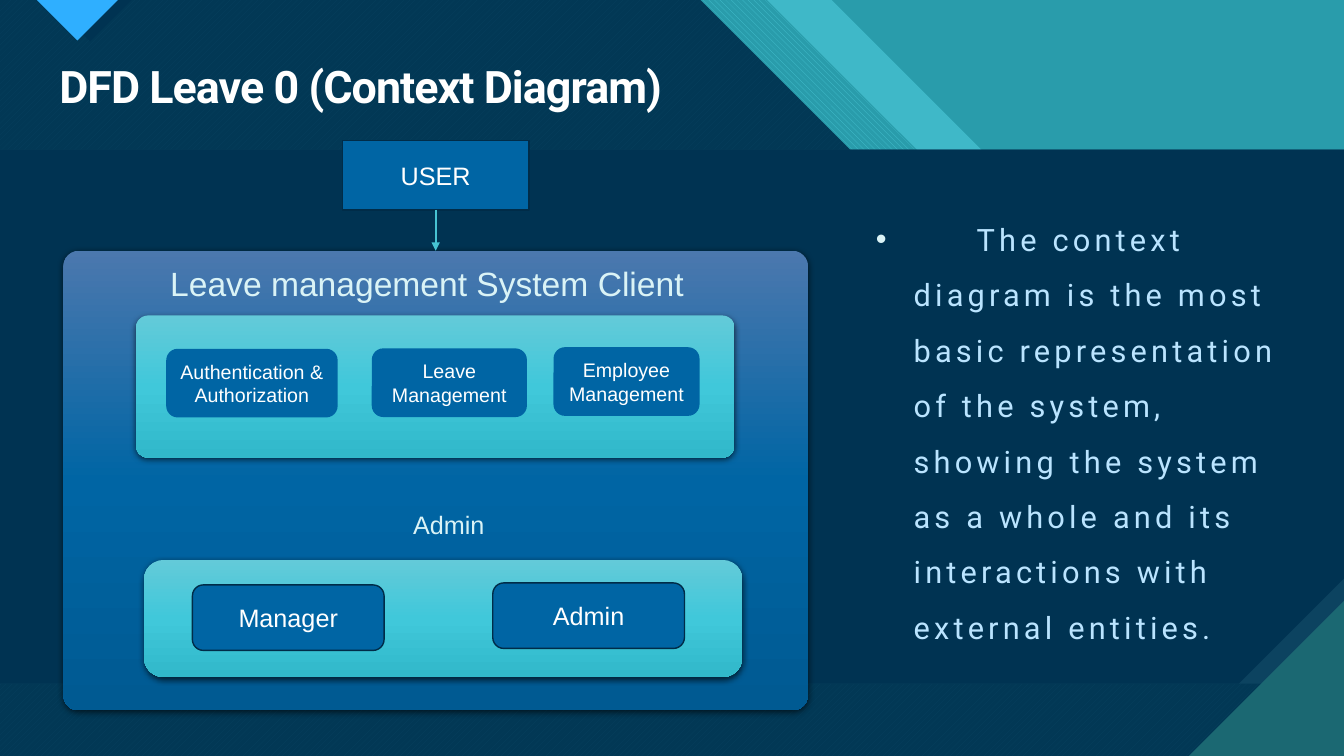
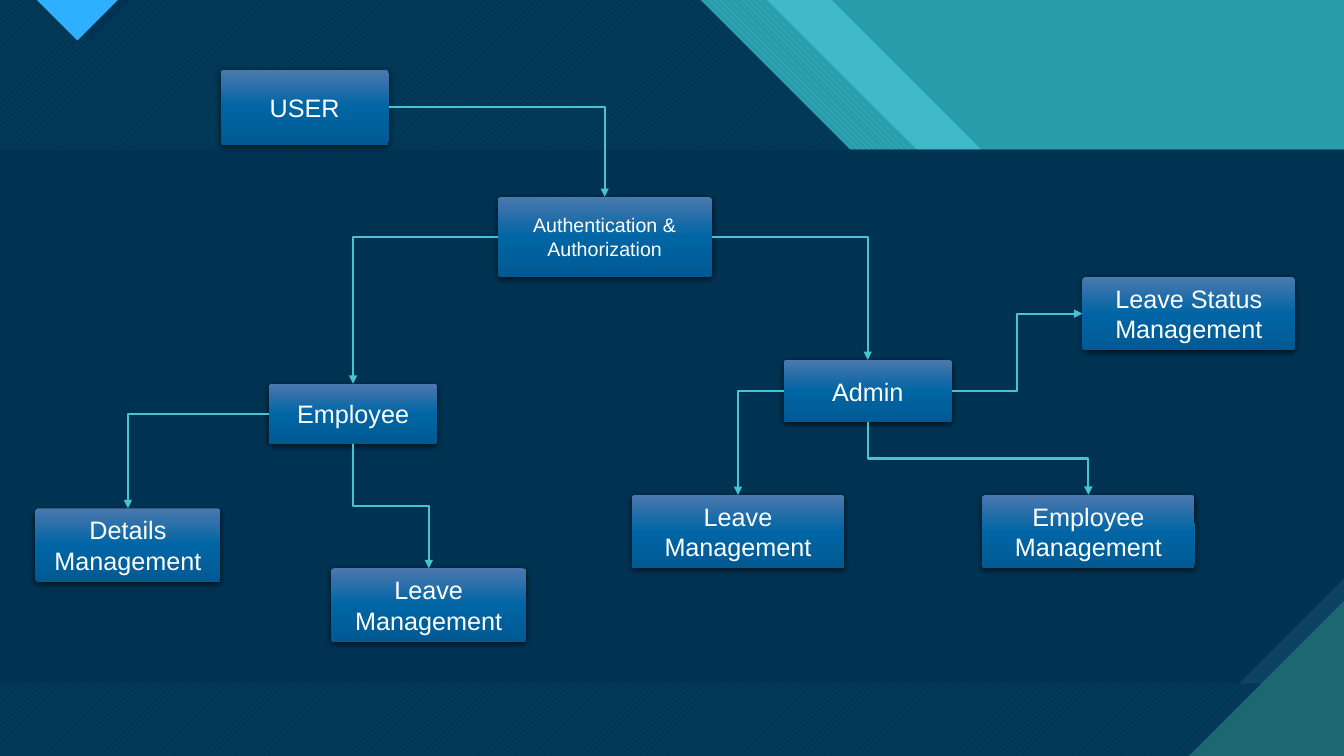
"""Build two slides on the leave management system: a context diagram and a process tree."""
from lxml import etree
from pptx import Presentation
from pptx.dml.color import RGBColor
from pptx.enum.dml import MSO_PATTERN
from pptx.enum.shapes import MSO_CONNECTOR, MSO_SHAPE
from pptx.enum.text import MSO_ANCHOR, MSO_AUTO_SIZE, PP_ALIGN
from pptx.oxml.ns import qn
from pptx.util import Cm, Pt

RECTANGLE, ROUNDED = MSO_SHAPE.RECTANGLE, MSO_SHAPE.ROUNDED_RECTANGLE
SNIPPED = MSO_SHAPE.SNIP_1_RECTANGLE
STRAIGHT, ELBOW = MSO_CONNECTOR.STRAIGHT, MSO_CONNECTOR.ELBOW
UPWARD, DOWNWARD = MSO_PATTERN.WIDE_UPWARD_DIAGONAL, MSO_PATTERN.WIDE_DOWNWARD_DIAGONAL
MIDDLE, TOP_ANCHOR = MSO_ANCHOR.MIDDLE, MSO_ANCHOR.TOP
CENTER, LEFT_ALIGN = PP_ALIGN.CENTER, PP_ALIGN.LEFT
NO_AUTOFIT = MSO_AUTO_SIZE.NONE
TOP, LEFT, BOTTOM, RIGHT = range(4)

COLORS = {
    "navy": "003352", "teal": "299CAB", "aqua": "47C3D3", "green": "1B6872",
    "slate": "0C4360", "marker": "2FAFFF", "outline": "002C48",
    "white": "FFFFFF", "pale": "DAF3F6", "body": "BAE4FF",
}
STYLES = {
    "plain": {"fill": ["0065A4"]},
    "outlined": {"fill": ["0065A4"], "line": "outline"},
    "blue": {"fill": ["4B78AE", "0065A4", "005A92"]},
    "teal": {"fill": ["63CAD9", "40C8DA", "31B8CA"]},
}
RGB = {name: RGBColor.from_string(value) for name, value in COLORS.items()}


def add_box(page, position, style, text="", size=18, kind=ROUNDED, corner=0.167):
    """Add a flat or shaded box with centred text."""
    box = page.shapes.add_shape(kind, *[Cm(length) for length in position])
    if kind == ROUNDED:
        box.adjustments[0] = corner
    box.shadow.inherit = False
    look = STYLES[style]
    if "line" in look:
        box.line.color.rgb = RGB[look["line"]]
        box.line.width = Pt(1)
    else:
        box.line.fill.background()
    if len(look["fill"]) == 1:
        box.fill.solid()
        box.fill.fore_color.rgb = RGBColor.from_string(look["fill"][0])
    else:
        box.fill.gradient()
        box.fill.gradient_angle = 270
        properties = box.element.spPr
        stops = properties.find(qn("a:gradFill")).find(qn("a:gsLst"))
        for stop in list(stops):
            stops.remove(stop)
        for index, color in enumerate(look["fill"]):
            stop = etree.SubElement(stops, qn("a:gs"), pos=str(index * 50000))
            etree.SubElement(stop, qn("a:srgbClr"), val=color)
        shadow = etree.SubElement(
            properties.find(qn("a:effectLst")), qn("a:outerShdw"), blurRad="57150",
            dist="19050", dir="5400000", algn="ctr", rotWithShape="0")
        shade = etree.SubElement(shadow, qn("a:srgbClr"), val="000000")
        etree.SubElement(shade, qn("a:alpha"), val="63000")
    if text:
        frame = box.text_frame
        frame.text = text
        frame.word_wrap = True
        frame.vertical_anchor = MIDDLE
        for para in frame.paragraphs:
            para.alignment = CENTER
            para.font.size = Pt(size)
            para.font.name = "Arial"
            para.font.color.rgb = RGB["white"]
    return box


def add_arrow(page, begin, begin_side, end, end_side, kind=ELBOW):
    """Join two boxes with an arrow, choosing the bend from the sides it joins."""
    arrow = page.shapes.add_connector(kind, 0, 0, 0, 0)
    arrow.begin_connect(begin, begin_side)
    arrow.end_connect(end, end_side)
    arrow.line.color.rgb = RGB["aqua"]
    arrow.line.width = Pt(1.5)
    properties = arrow.element.spPr
    etree.SubElement(properties.find(qn("a:ln")), qn("a:tailEnd"), type="triangle")
    etree.SubElement(properties, qn("a:effectLst"))
    if kind == ELBOW and end_side == TOP:
        if begin_side == BOTTOM:
            across, down = arrow.width, arrow.height
            arrow.left += (across - down) // 2
            arrow.top += (down - across) // 2
            arrow.width, arrow.height = down, across
            frame = properties.find(qn("a:xfrm"))
            frame.set("rot", "16200000")
            frame.set("flipH", "1")
        else:
            properties.find(qn("a:prstGeom")).set("prst", "bentConnector2")


deck = Presentation()
deck.slide_width, deck.slide_height = Cm(33.87), Cm(19.05)
master = deck.slide_master
master.background.fill.solid()
master.background.fill.fore_color.rgb = RGB["aqua"]
context = deck.slides.add_slide(deck.slide_layouts[1])
tree = deck.slides.add_slide(deck.slide_layouts[6])

wide, high, step = 33.87, 19.05, 7.55
light_edge, stripe_edge, navy_edge = [
    [(0, 0), (start, 0), (start + step, step), (ledge, step),
     (wide, step + wide - ledge), (wide, high), (0, high)]
    for start, ledge in [(20.96, 31.35), (19.33, 30.07), (17.65, 28.4)]
]
backdrop = [
    ([(0, 0), (wide, 0), (wide, high), (0, high)], "teal", None, None, 100),
    (light_edge, "aqua", None, None, 74),
    (stripe_edge, "aqua", "teal", DOWNWARD, 100),
    (navy_edge, "aqua", "green", UPWARD, 100),
    (navy_edge, "navy", None, None, 90),
    ([(1.22, 0), (3.32, 0), (2.27, 1.04)], "navy", None, None, 100),
    ([(0.93, 0), (2.97, 0), (1.95, 1.02)], "marker", None, None, 100),
    (0, "slate", None, None, 100),
    (0.197, "navy", None, None, 100),
    ([(29.96, high), (wide, high), (wide, 15.14)], "green", None, None, 100),
]
for index, (outline, color, back_color, pattern, opacity) in enumerate(backdrop):
    if isinstance(outline, list):
        points = [(Cm(x), Cm(y)) for x, y in outline]
        builder = context.shapes.build_freeform(*points[0])
        builder.add_line_segments(points[1:])
        area = builder.convert_to_shape()
    else:
        area = context.shapes.add_shape(SNIPPED, 0, Cm(3.77), Cm(wide), Cm(13.46))
        area.adjustments[0] = outline
        area.element.spPr.find(qn("a:xfrm")).set("flipV", "1")
    area.shadow.inherit = False
    area.line.fill.background()
    if pattern:
        area.fill.patterned()
        area.fill.pattern = pattern
        area.fill.back_color.rgb = RGB[back_color]
    else:
        area.fill.solid()
    area.fill.fore_color.rgb = RGB[color]
    if opacity < 100:
        tint = area.element.spPr.find(qn("a:solidFill")).find(qn("a:srgbClr"))
        etree.SubElement(tint, qn("a:alpha"), val=str(opacity * 1000))
    area.element.nvSpPr.cNvPr.set("id", str(100 + index))
    master.shapes.element.append(area.element)

title, body = context.placeholders
placeholders = [
    (title, (1.24, 1.5, 31.14, 1.5), "DFD Leave 0 (Context Diagram)", 32, "white", -70, 0.9,
     MIDDLE),
    (body, (21.82, 4.97, 11.38, 11.38),
     "\tThe context diagram is the most basic representation of the system, showing the "
     "system as a whole and its interactions with external entities.", 22, "body", 300, 1.5,
     TOP_ANCHOR),
]
for box, position, text, size, color, tracking, spacing, anchor in placeholders:
    box.left, box.top, box.width, box.height = [Cm(length) for length in position]
    frame = box.text_frame
    frame.text = text
    frame.auto_size = NO_AUTOFIT
    frame.vertical_anchor = anchor
    para = frame.paragraphs[0]
    para.alignment = LEFT_ALIGN
    para.line_spacing = spacing
    para.space_before = Pt(0)
    for span in para.runs:
        span.font.size = Pt(size)
        span.font.name = "Roboto"
        span.font.bold = box is title
        span.font.color.rgb = RGB[color]
        span.font._element.set("spc", str(tracking))
bullet = body.text_frame.paragraphs[0]._p.get_or_add_pPr()
bullet.set("marL", str(Cm(0.95)))
bullet.set("indent", str(-Cm(0.95)))
bullet.set("defTabSz", str(Cm(2.54)))
bullet_color = etree.SubElement(bullet, qn("a:buClr"))
etree.SubElement(bullet_color, qn("a:srgbClr"), val=COLORS["pale"])
etree.SubElement(bullet, qn("a:buFont"), typeface="Arial")
etree.SubElement(bullet, qn("a:buChar"), char="•")

panel = add_box(context, (1.6, 6.32, 18.76, 11.58), "blue", corner=0.033)
add_box(context, (3.43, 7.95, 15.08, 3.58), "teal", corner=0.084)
add_box(context, (3.63, 14.11, 15.08, 2.95), "teal")
user = add_box(context, (8.63, 3.54, 4.7, 1.75), "outlined", "USER", kind=RECTANGLE)
add_arrow(context, user, BOTTOM, panel, TOP, STRAIGHT)
for position, style, text, size in [
    ((4.19, 8.79, 4.32, 1.73), "plain", "Authentication & Authorization", 14),
    ((9.37, 8.78, 3.91, 1.73), "plain", "Leave\nManagement", 14),
    ((13.95, 8.75, 3.68, 1.73), "plain", "Employee\nManagement", 14),
    ((4.85, 14.74, 4.83, 1.65), "outlined", "Manager", 18),
    ((12.42, 14.69, 4.83, 1.65), "outlined", "Admin", 18),
]:
    add_box(context, position, style, text, size)
for position, text, size in [
    ((4.04, 6.5, 13.59, 1.27), "Leave management System Client", 24),
    ((10.16, 12.7, 2.34, 1.02), "Admin", 18),
]:
    label = context.shapes.add_textbox(*[Cm(length) for length in position])
    label.text_frame.text = text
    label.text_frame.word_wrap = False
    font = label.text_frame.paragraphs[0].runs[0].font
    font.size = Pt(size)
    font.name = "Arial"
    font.color.rgb = RGB["pale"]

nodes = {}
for name, position, text, size in [
    ("user", (5.56, 1.76, 4.24, 1.89), "USER", 18),
    ("access", (12.54, 4.96, 5.4, 2.02), "Authentication & Authorization", 14),
    ("employee", (6.78, 9.67, 4.24, 1.52), "Employee", 18),
    ("admin", (19.75, 9.07, 4.24, 1.57), "Admin", 18),
    ("details", (0.89, 12.81, 4.67, 1.85), "Details\nManagement", 18),
    ("employee leave", (8.34, 14.32, 4.93, 1.85), "Leave\nManagement", 18),
    ("admin leave", (15.92, 12.47, 5.36, 1.85), "Leave Management", 18),
    ("staff", (24.75, 12.47, 5.36, 1.85), "Employee\nManagement", 18),
    ("status", (27.28, 6.98, 5.36, 1.85), "Leave Status Management", 18),
]:
    nodes[name] = add_box(tree, position, "blue", text, size, corner=0.049)
for begin, begin_side, end, end_side in [
    ("user", RIGHT, "access", TOP),
    ("access", LEFT, "employee", TOP),
    ("access", RIGHT, "admin", TOP),
    ("employee", LEFT, "details", TOP),
    ("employee", BOTTOM, "employee leave", TOP),
    ("admin", LEFT, "admin leave", TOP),
    ("admin", BOTTOM, "staff", TOP),
    ("admin", RIGHT, "status", LEFT),
]:
    add_arrow(tree, nodes[begin], begin_side, nodes[end], end_side)

deck.save("out.pptx")
